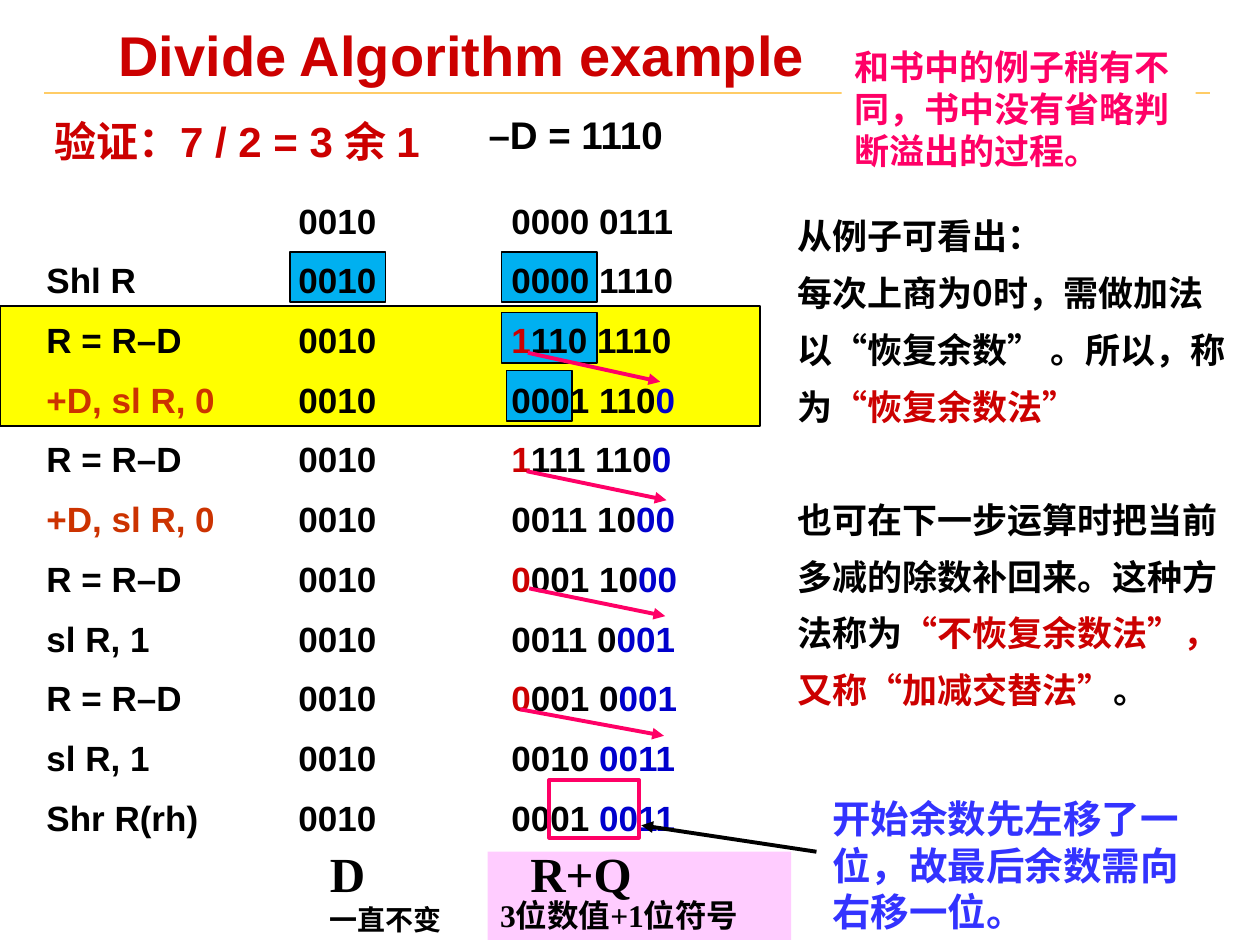
from pptx import Presentation
from pptx.dml.color import RGBColor as Rgb
from pptx.enum.shapes import MSO_CONNECTOR as Link, MSO_SHAPE as Kind
from pptx.enum.text import MSO_ANCHOR as Anchor
from pptx.oxml.ns import qn
from pptx.util import Inches, Pt
from lxml.etree import SubElement as Sub

THEME = dict(
    black="000000", white="FFFFFF", red="CC0000", rust="CC3300", blue="0000CC",
    note="3333FF", pink="FF0066", rose="FFCCFF", yellow="FFFF00", cyan="00B0F0",
    gold="FFCC66", sans="Arial", serif="Times New Roman", cjk="Noto Sans CJK SC",
    title=32, sum=24, memo=22, body=20, mark=18, small=16, big=28)

# operation, divisor, then sign / middle / quotient bits of the remainder
STEPS = [
    ("", "0010", "", "0000 0111", ""),
    ("Shl R", "0010", "", "0000 1110", ""),
    ("R = R–D", "0010", "1", "110 1110", ""),
    ("+D, sl R, 0", "0010", "", "0001 110", "0"),
    ("R = R–D", "0010", "1", "111 110", "0"),
    ("+D, sl R, 0", "0010", "", "0011 10", "00"),
    ("R = R–D", "0010", "0", "001 10", "00"),
    ("sl R, 1", "0010", "", "0011 0", "001"),
    ("R = R–D", "0010", "0", "001 0", "001"),
    ("sl R, 1", "0010", "", "0010 ", "0011"),
    ("Shr R(rh)", "0010", "", "0001 ", "0011"),
]
REMARKS = [
    [("从例子可看出：", "black")],
    [("每次上商为0时，需做加法以“恢复余数” 。所以，称为", "black"),
     ("“恢复余数法”", "red")],
    [("也可在下一步运算时把当前多减的除数补回来。这种方法称为", "black"),
     ("“不恢复余数法”，又称“加减交替法”", "red"), ("。", "black")],
]
CELLS = [(4.02, 2.94, 0.52, 0.4), (3.98, 2.48, 0.76, 0.4),
         (2.3, 2, 0.76, 0.4), (3.98, 2, 0.76, 0.4)]
SHIFTS = [(4.19, 2.8, 5.24, 3.03), (4.18, 3.74, 5.29, 3.97),
          (4.2, 4.67, 5.28, 4.89), (4.13, 5.63, 5.27, 5.84)]

deck = Presentation()
deck.slide_width, deck.slide_height = Inches(10), Inches(7.5)
slide = deck.slides.add_slide(deck.slide_layouts[6])
shapes = slide.shapes


def tint(name):
    return Rgb.from_string(THEME[name])


def rect(at, fill=None, line=None, width=1):
    box = shapes.add_shape(Kind.RECTANGLE, *map(Inches, at))
    box.shadow.inherit = False
    if fill:
        box.fill.solid()
        box.fill.fore_color.rgb = tint(fill)
    else:
        box.fill.background()
    if line:
        box.line.color.rgb = tint(line)
        box.line.width = Pt(width)
    else:
        box.line.fill.background()


def line(ends, color, width=2.25, arrow=True):
    link = shapes.add_connector(Link.STRAIGHT, *map(Inches, ends))
    link.line.color.rgb = tint(color)
    link.line.width = Pt(width)
    props = link._element.spPr
    if arrow:
        Sub(props.find(qn("a:ln")), qn("a:tailEnd"), type="triangle")
    Sub(props, qn("a:effectLst"))


def text(at, paras, size="body", font="sans", color="black", lead=None, gaps=(),
         tabs=(), pad=(0.1, 0.05), anchor=Anchor.TOP):
    """Each paragraph is a string or a list of (words, colour) runs.

    size and lead may be one value or a list with one per paragraph;
    gaps holds the space before each paragraph.
    """
    frame = shapes.add_textbox(*map(Inches, at)).text_frame
    frame.word_wrap = True
    frame.vertical_anchor = anchor
    frame.margin_left = frame.margin_right = Inches(pad[0])
    frame.margin_top = frame.margin_bottom = Inches(pad[1])
    for i, runs in enumerate(paras):
        para = frame.paragraphs[0] if i == 0 else frame.add_paragraph()
        para.line_spacing = lead[i] if isinstance(lead, list) else lead
        para.space_before = Pt(gaps[i] if gaps else 0)
        if tabs:
            stops = Sub(para._p.get_or_add_pPr(), qn("a:tabLst"))
            for pos in tabs:
                Sub(stops, qn("a:tab"), pos=str(Inches(pos)), algn="l")
        if isinstance(runs, str):
            runs = [(runs, color)]
        for words, hue in runs:
            run = para.add_run()
            run.text = words
            face = run.font
            face.size = Pt(THEME[size[i] if isinstance(size, list) else size])
            face.bold = True
            face.name = THEME[font]
            face.color.rgb = tint(hue)
            Sub(run._r.get_or_add_rPr(), qn("a:ea"), typeface=THEME["cjk"])


def trace(step):
    op, div, sign, mid, quot = step
    runs = [(op, "rust" if op.startswith("+") else "black"),
            (f"\t{div}\t", "black"), (sign, "red"), (mid, "black"), (quot, "blue")]
    return [run for run in runs if run[0]]


line((0.35, 0.74, 9.6, 0.74), "gold", 1, arrow=False)
rect((3.87, 6.76, 2.41, 0.7), "rose")
text((3.87, 6.76, 2.41, 0.7), ["3位数值+1位符号"], "mark", "serif",
     anchor=Anchor.BOTTOM)
rect((0, 2.43, 6.03, 0.95), "yellow", "black")
for cell in CELLS:
    rect(cell, "cyan", "black")

text((0.87, 0.21, 5.79, 0.98), ["Divide Algorithm example"], "title", color="red",
     lead=0.87, pad=(0.07, 0.03))
text((0.27, 1.57, 7.09, 5.61), [trace(step) for step in STEPS], lead=0.9,
     gaps=[0] + [12.5] * (len(STEPS) - 1), tabs=(2, 3.69))
text((0.36, 0.89, 6.77, 0.46), ["验证：7 / 2 = 3 余 1"], "sum", color="red",
     lead=Pt(28.8), pad=(0.07, 0.03))
text((6.23, 1.54, 3.65, 4.66), REMARKS, font="cjk", lead=Pt(32.4),
     gaps=(0, 0, 32.4))
text((3.78, 0.83, 1.67, 0.47), ["–D = 1110"], "memo")

for shift in SHIFTS:
    line(shift, "pink")
text((6.51, 6.26, 3.1, 1.2), ["开始余数先左移了一位，故最后余数需向右移一位。"],
     "memo", "serif", "note", lead=Pt(26.6))
rect((4.36, 6.19, 0.71, 0.46), line="pink", width=2.25)
line((6.48, 6.76, 5.09, 6.55), "black")

rect((6.68, 0.31, 2.81, 1.1), "white")
text((6.68, 0.31, 2.81, 1.1), ["和书中的例子稍有不同，书中没有省略判断溢出的过程。"],
     font="cjk", color="pink", lead=Pt(24))
text((2.52, 6.63, 2.78, 0.84), ["D\tR+Q", "一直不变"], ["big", "small"], "serif",
     lead=[Pt(35), Pt(19.2)], tabs=(1.59,))

deck.save("out.pptx")
